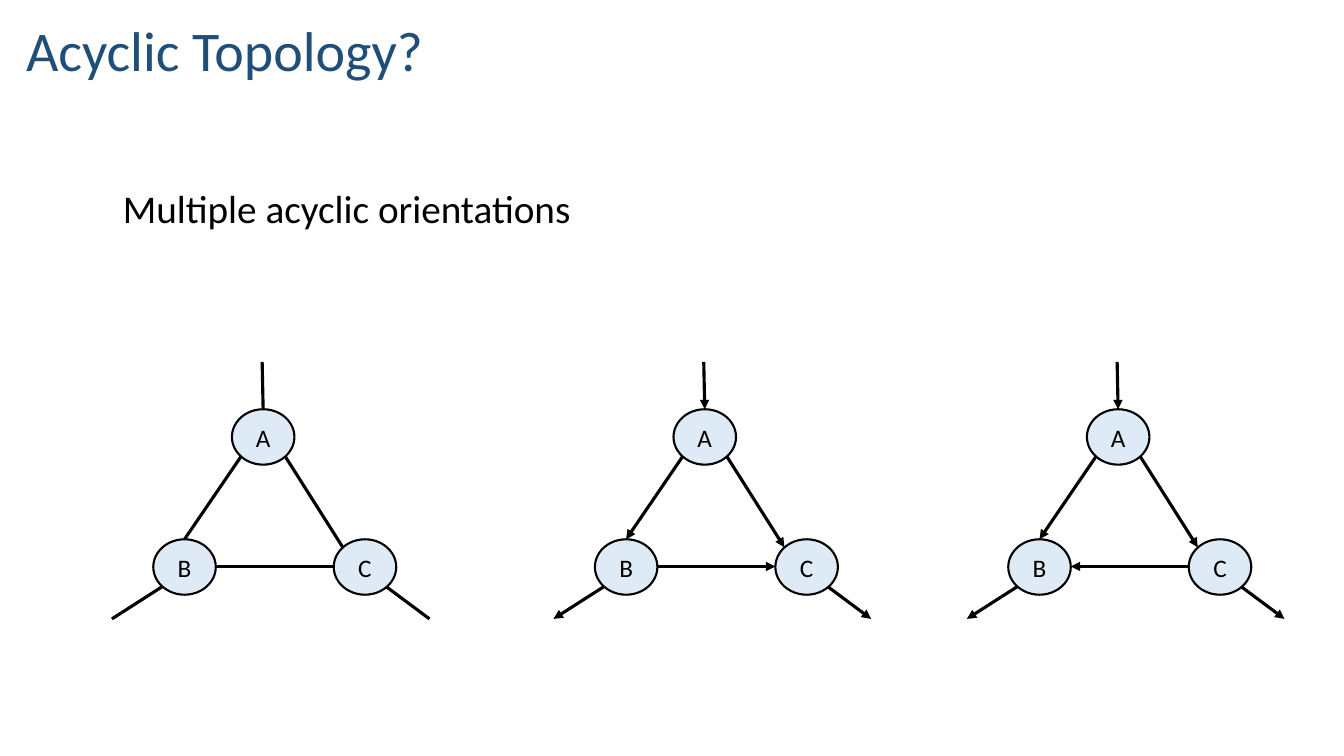
from lxml import etree
from pptx import Presentation
from pptx import util as u
from pptx.dml.color import RGBColor
from pptx.enum import shapes, text
from pptx.oxml import ns

COLORS = {"ink": "000000", "title": "1F4E79", "node": "DEEBF7"}
COLUMNS, ROWS = 133.3, 75
NODE_WIDTH, NODE_HEIGHT = 6.2, 5.5
NODES = {"A": (11.9, 4.7), "B": (4.1, 17.6), "C": (22, 17.6)}
LINKS = {
    "into A": ((14.9, 0), (15, 4.7)),
    "A to B": ((12.8, 9.4), (7.2, 17.6)),
    "A to C": ((17.2, 9.4), (22.9, 18.4)),
    "B to C": ((10.3, 20.3), (22, 20.3)),
    "out of B": ((5, 22.3), (0, 25.5)),
    "out of C": ((27.2, 22.3), (31.5, 25.5)),
}
TRIANGLE_TOP = 35.9
TRIANGLES = [(11.1, False, None), (54.9, True, "tailEnd"), (95.9, True, "headEnd")]


class SlideBuilder:
    font = "Calibri"

    def __init__(self, deck):
        self.cell_width = deck.slide_width / COLUMNS
        self.cell_height = deck.slide_height / ROWS
        self.slide = deck.slides.add_slide(deck.slide_layouts[6])
        self.target = self.slide.shapes

    def x(self, columns):
        return u.Emu(round(columns * self.cell_width))

    def y(self, rows):
        return u.Emu(round(rows * self.cell_height))

    def place(self, left, top, width, height):
        return self.x(left), self.y(top), self.x(width), self.y(height)

    def color(self, name):
        return RGBColor.from_string(COLORS[name])

    def set_words(self, frame, words, size, color):
        frame.text = words
        para = frame.paragraphs[0]
        for span in para.runs:
            span.font.name = self.font
            span.font.size = u.Pt(size)
            span.font.color.rgb = self.color(color)
        return para

    def heading(self, words, area, size, color, anchor):
        box = self.target.add_textbox(*self.place(*area))
        frame = box.text_frame
        frame.word_wrap = True
        frame.vertical_anchor = anchor
        self.set_words(frame, words, size, color).line_spacing = 0.9

    def node(self, label, left, top):
        oval = self.target.add_shape(
            shapes.MSO_SHAPE.OVAL, *self.place(left, top, NODE_WIDTH, NODE_HEIGHT))
        oval.shadow.inherit = False
        oval.fill.solid()
        oval.fill.fore_color.rgb = self.color("node")
        oval.line.color.rgb = self.color("ink")
        oval.line.width = u.Pt(1.5)
        frame = oval.text_frame
        frame.margin_left = frame.margin_right = 0
        frame.margin_top = frame.margin_bottom = 0
        frame.word_wrap = False
        frame.vertical_anchor = text.MSO_ANCHOR.MIDDLE
        self.set_words(frame, label, 18, "ink").alignment = text.PP_ALIGN.CENTER

    def link(self, start, end, arrow):
        line = self.target.add_connector(
            shapes.MSO_CONNECTOR.STRAIGHT,
            self.x(start[0]), self.y(start[1]), self.x(end[0]), self.y(end[1]))
        line.line.color.rgb = self.color("ink")
        line.line.width = u.Pt(2.25)
        properties = line.element.spPr
        if arrow:
            outline = properties.find(ns.qn("a:ln"))
            etree.SubElement(outline, ns.qn("a:" + arrow), type="triangle")
        etree.SubElement(properties, ns.qn("a:effectLst"))

    def triangle(self, left, top, directed, base_arrow):
        self.target = self.slide.shapes.add_group_shape().shapes
        for name, ends in LINKS.items():
            start, end = [(left + column, top + row) for column, row in ends]
            arrow = base_arrow if name == "B to C" else "tailEnd"
            self.link(start, end, arrow if directed else None)
        for label, (column, row) in NODES.items():
            self.node(label, left + column, top + row)
        self.target = self.slide.shapes


def main():
    deck = Presentation()
    deck.slide_width, deck.slide_height = u.Inches(13.33), u.Inches(7.5)
    page = SlideBuilder(deck)
    page.heading("Multiple acyclic orientations", (11.2, 18.3, 48.5, 8),
                 28, "ink", text.MSO_ANCHOR.TOP)
    page.heading("Acyclic Topology?", (1.6, -0.5, 79.3, 9.3),
                 40, "title", text.MSO_ANCHOR.BOTTOM)
    for left, directed, base_arrow in TRIANGLES:
        page.triangle(left, TRIANGLE_TOP, directed, base_arrow)
    deck.save("out.pptx")


if __name__ == "__main__":
    main()
